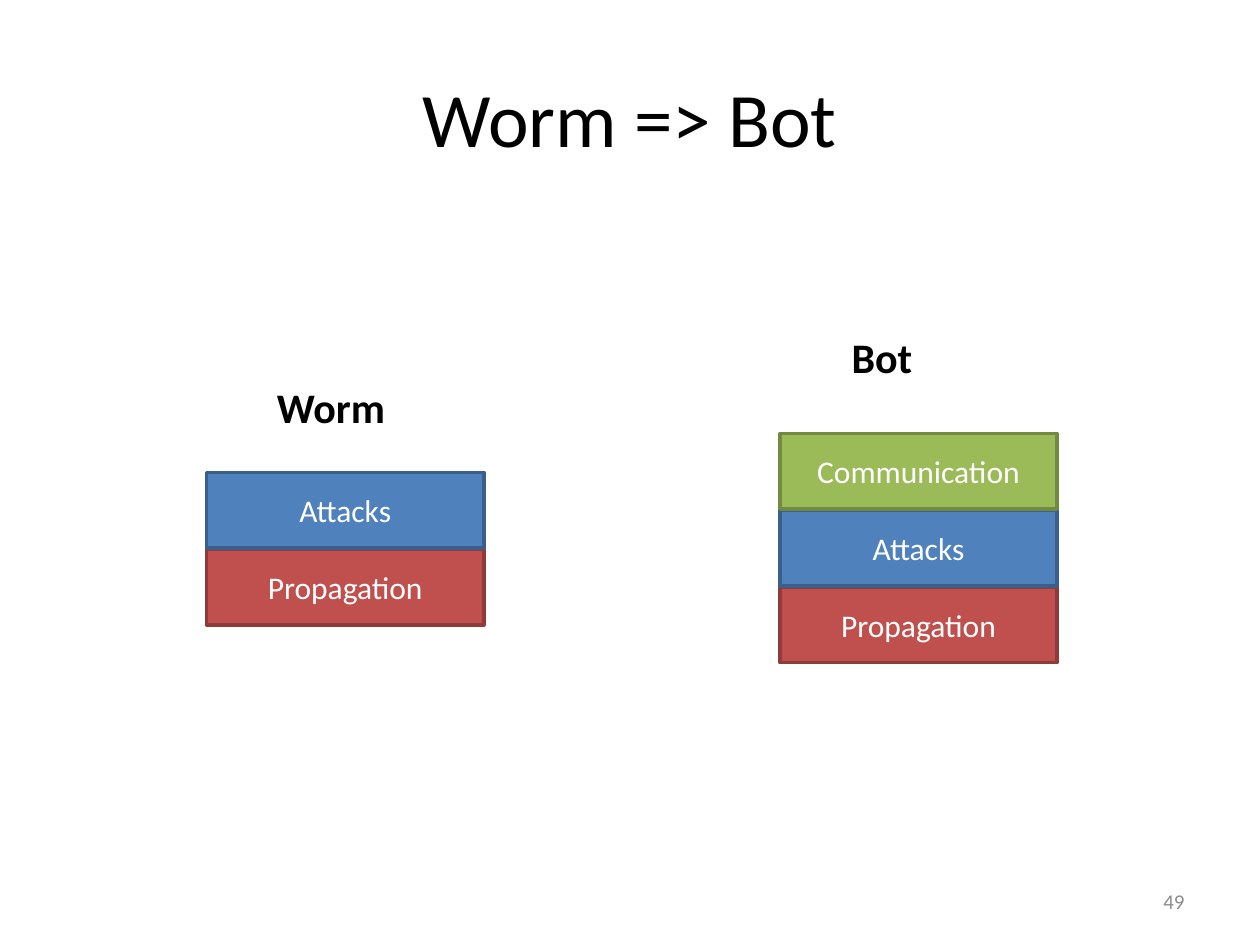
from pptx import Presentation
from pptx import util as u
from pptx.dml.color import RGBColor
from pptx.enum import shapes, text

COLORS = {
    "black": "000000", "white": "FFFFFF", "grey": "8C8C8C",
    "red": "C0504D", "red edge": "8E3B39",
    "blue": "4F81BD", "blue edge": "3A5F8C",
    "green": "9BBB59", "green edge": "738A42",
}
LAYERS = [("Propagation", "red"), ("Attacks", "blue"), ("Communication", "green")]
COLUMNS, ROWS = 10, 7.5  # one grid cell is one inch square
LAYER_WIDTH, LAYER_HEIGHT, LAYER_STEP = 2.2, 0.6, 0.61


class SlideBuilder:
    """Holds the style and the current slide; lengths are grid columns and rows."""

    font = "Calibri"

    def __init__(self, deck):
        self.cell_width = deck.slide_width / COLUMNS
        self.cell_height = deck.slide_height / ROWS
        self.slide = deck.slides.add_slide(deck.slide_layouts[6])

    def place(self, left, top, width, height):
        return (round(left * self.cell_width), round(top * self.cell_height),
                round(width * self.cell_width), round(height * self.cell_height))

    def set_words(self, box, words, size, color, align, anchor, bold=False):
        frame = box.text_frame
        frame.word_wrap = True
        frame.vertical_anchor = anchor
        frame.text = words
        para = frame.paragraphs[0]
        para.alignment = align
        font = para.runs[0].font
        font.name, font.size, font.bold = self.font, u.Pt(size), bold
        font.color.rgb = RGBColor.from_string(COLORS[color])

    def label(self, area, words, size, color="black", align=text.PP_ALIGN.LEFT,
              anchor=text.MSO_ANCHOR.MIDDLE, bold=False):
        box = self.slide.shapes.add_textbox(*self.place(*area))
        self.set_words(box, words, size, color, align, anchor, bold)

    def layer(self, left, top, words, color):
        box = self.slide.shapes.add_shape(
            shapes.MSO_SHAPE.RECTANGLE,
            *self.place(left, top, LAYER_WIDTH, LAYER_HEIGHT))
        box.shadow.inherit = False
        box.fill.solid()
        box.fill.fore_color.rgb = RGBColor.from_string(COLORS[color])
        box.line.color.rgb = RGBColor.from_string(COLORS[color + " edge"])
        box.line.width = u.Pt(2)
        self.set_words(box, words, 18, "white", text.PP_ALIGN.CENTER, text.MSO_ANCHOR.MIDDLE)

    def stack(self, left, bottom_top, layers):
        """Pile layers upwards from the top edge of the lowest one."""
        for level, (words, color) in enumerate(layers):
            self.layer(left, bottom_top - level * LAYER_STEP, words, color)


def main():
    deck = Presentation()
    deck.slide_width, deck.slide_height = u.Inches(10), u.Inches(7.5)
    page = SlideBuilder(deck)

    page.label((0.5, 0.3, 9, 1.25), "Worm => Bot", 44, align=text.PP_ALIGN.CENTER)
    for words, area in [("Worm", (2.1, 2.78, 1.2, 0.7)), ("Bot", (6.66, 2.38, 1.25, 0.7))]:
        page.label(area, words, 24, anchor=text.MSO_ANCHOR.BOTTOM, bold=True)
    page.label((7.17, 6.95, 2.33, 0.4), "49", 12, "grey", text.PP_ALIGN.RIGHT)

    page.stack(1.64, 4.36, LAYERS[:2])
    page.stack(6.19, 4.66, LAYERS)

    deck.save("out.pptx")


if __name__ == "__main__":
    main()
